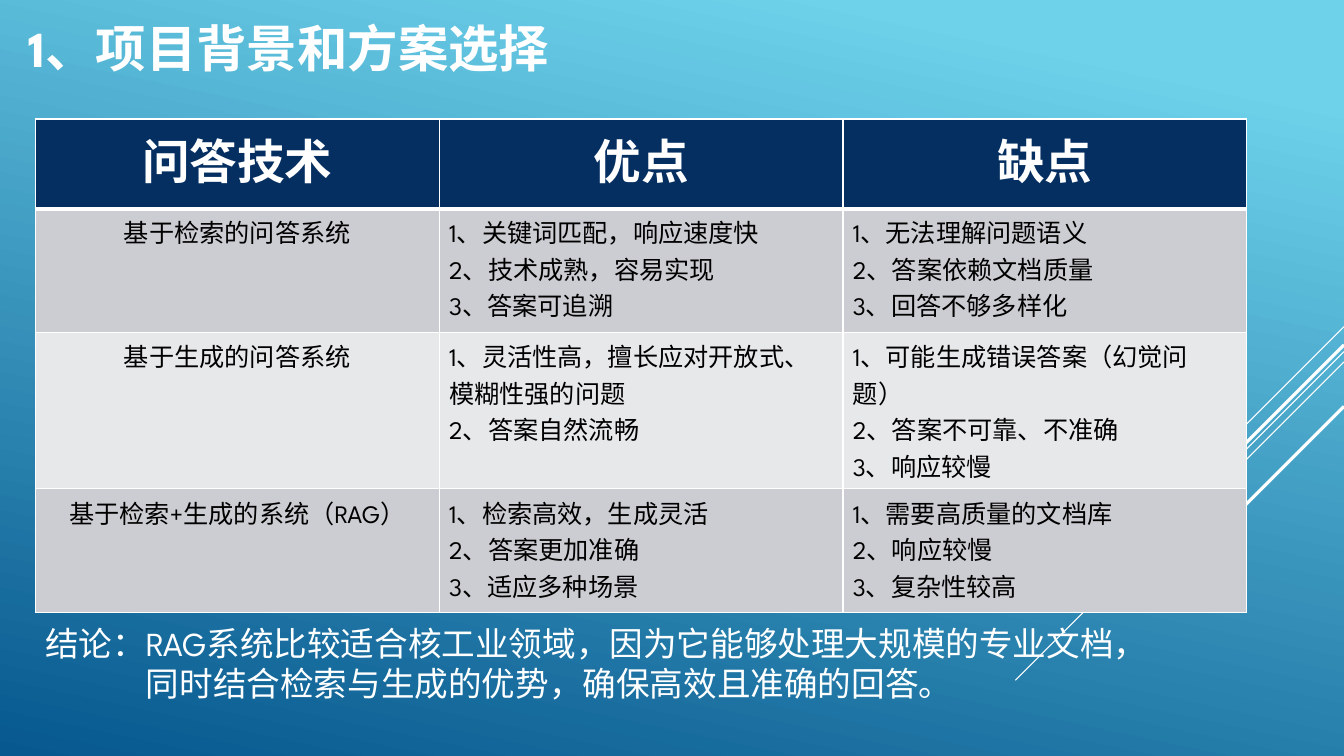
import pptx
import pptx.dml.color
import pptx.enum.shapes
import pptx.enum.text
import pptx.oxml
import pptx.oxml.ns
import pptx.util
from pptx.util import Cm

RGBColor = pptx.dml.color.RGBColor
SKY = RGBColor(0x6E, 0xD2, 0xEB)
OCEAN = RGBColor(0x06, 0x58, 0x8E)
NAVY = RGBColor(0x05, 0x2F, 0x61)
BAND_DARK = RGBColor(0xCC, 0xCD, 0xD2)
BAND_LIGHT = RGBColor(0xE7, 0xE8, 0xEA)
WHITE = RGBColor(0xFF, 0xFF, 0xFF)
BLACK = RGBColor(0, 0, 0)
FONT = "League Spartan"
CENTER = pptx.enum.text.PP_ALIGN.CENTER
LEFT = pptx.enum.text.PP_ALIGN.LEFT

HEADINGS = ["问答技术", "优点", "缺点"]
SYSTEMS = [
    ("基于检索的问答系统",
     ["1、关键词匹配，响应速度快", "2、技术成熟，容易实现", "3、答案可追溯"],
     ["1、无法理解问题语义", "2、答案依赖文档质量", "3、回答不够多样化"]),
    ("基于生成的问答系统",
     ["1、灵活性高，擅长应对开放式、模糊性强的问题", "2、答案自然流畅"],
     ["1、可能生成错误答案（幻觉问题）", "2、答案不可靠、不准确", "3、响应较慢"]),
    ("基于检索+生成的系统（RAG）",
     ["1、检索高效，生成灵活", "2、答案更加准确", "3、适应多种场景"],
     ["1、需要高质量的文档库", "2、响应较慢", "3、复杂性较高"]),
]
# Header, then three text lines, four text lines, three text lines
ROW_HEIGHTS = [2.26, 3.12, 3.94, 3.12]
CONCLUSION = ["结论：RAG系统比较适合核工业领域，因为它能够处理大规模的专业文档，",
              "同时结合检索与生成的优势，确保高效且准确的回答。"]
# Start height on the right edge, length across, line width in points
RAYS = [(8.23, 2.54, 0.75), (8.86, 8.28, 0.75), (9.12, 5.27, 0.75),
        (8.69, 4.85, 2.25), (10.24, 3.53, 2.25)]


def write_lines(frame, lines, size, color, bold=False, align=LEFT):
    """Write one paragraph per line into the text frame."""
    for i, line in enumerate(lines):
        paragraph = frame.paragraphs[0] if i == 0 else frame.add_paragraph()
        paragraph.alignment = align
        run = paragraph.add_run()
        run.text = line
        run.font.name = FONT
        run.font.size = pptx.util.Pt(size)
        run.font.bold = bold
        run.font.color.rgb = color


def fill_background(slide):
    fill = slide.background.fill
    fill.gradient()
    fill.gradient_angle = 258
    for stop, position, color in zip(fill.gradient_stops, (0.1, 1), (SKY, OCEAN)):
        stop.position = position
        stop.color.rgb = color


def add_rays(slide, right):
    """Draw diagonal rays running down and left from the right edge."""
    for top, reach, width in RAYS:
        ray = slide.shapes.add_connector(
            pptx.enum.shapes.MSO_CONNECTOR.STRAIGHT,
            right, Cm(top), right - Cm(reach), Cm(top + reach))
        ray.line.color.rgb = WHITE
        ray.line.width = pptx.util.Pt(width)
        ray._element.spPr.append(pptx.oxml.parse_xml(
            f"<a:effectLst {pptx.oxml.ns.nsdecls('a')}/>"))


def add_title(slide, left, top, width, height):
    frame = slide.shapes.add_textbox(left, top, width, height).text_frame
    frame.word_wrap = True
    frame.vertical_anchor = pptx.enum.text.MSO_ANCHOR.MIDDLE
    write_lines(frame, ["1、项目背景和方案选择"], 36, WHITE, bold=True)


def set_borders(cell, widths):
    """Give the cell white borders, widths in points by side letter."""
    properties = cell._tc.get_or_add_tcPr()
    for side, width in widths.items():
        properties.append(pptx.oxml.parse_xml(
            f'<a:ln{side} {pptx.oxml.ns.nsdecls("a")} w="{pptx.util.Pt(width)}">'
            f'<a:solidFill><a:srgbClr val="{WHITE}"/></a:solidFill></a:ln{side}>'))


def style_cell(cell, color, widths):
    set_borders(cell, widths)
    cell.fill.solid()
    cell.fill.fore_color.rgb = color


def add_comparison(slide, left, top, width):
    comparison = slide.shapes.add_table(
        len(ROW_HEIGHTS), len(HEADINGS), left, top, width,
        Cm(sum(ROW_HEIGHTS))).table
    for row, row_height in zip(comparison.rows, ROW_HEIGHTS):
        row.height = Cm(row_height)

    for c, heading in enumerate(HEADINGS):
        cell = comparison.cell(0, c)
        style_cell(cell, NAVY, {"L": 1, "R": 1, "T": 1, "B": 3})
        write_lines(cell.text_frame, [heading], 34, WHITE, True, CENTER)

    for r, (system, pros, cons) in enumerate(SYSTEMS, start=1):
        band = BAND_DARK if r % 2 else BAND_LIGHT
        for c, lines in enumerate(([system], pros, cons)):
            cell = comparison.cell(r, c)
            style_cell(cell, band, {"L": 1, "R": 1, "T": 3 if r == 1 else 1, "B": 1})
            write_lines(cell.text_frame, lines, 18, BLACK,
                        align=LEFT if c else CENTER)


def add_conclusion(slide, left, top, width, height):
    frame = slide.shapes.add_textbox(left, top, width, height).text_frame
    frame.word_wrap = True
    write_lines(frame, CONCLUSION, 24, WHITE)
    second_line = frame.paragraphs[1]._p.get_or_add_pPr()
    second_line.set("marL", str(Cm(2.54)))
    second_line.set("indent", "0")


def main():
    deck = pptx.Presentation()
    deck.slide_width, deck.slide_height = Cm(33.87), Cm(19.05)
    slide = deck.slides.add_slide(deck.slide_layouts[6])
    fill_background(slide)
    add_rays(slide, deck.slide_width)
    add_title(slide, Cm(0.48), Cm(-0.91), Cm(23.7), Cm(4.19))
    add_comparison(slide, Cm(0.89), Cm(3), Cm(30.53))
    add_conclusion(slide, Cm(0.89), Cm(15.57), Cm(28.91), Cm(2.31))
    deck.save("out.pptx")


if __name__ == "__main__":
    main()
